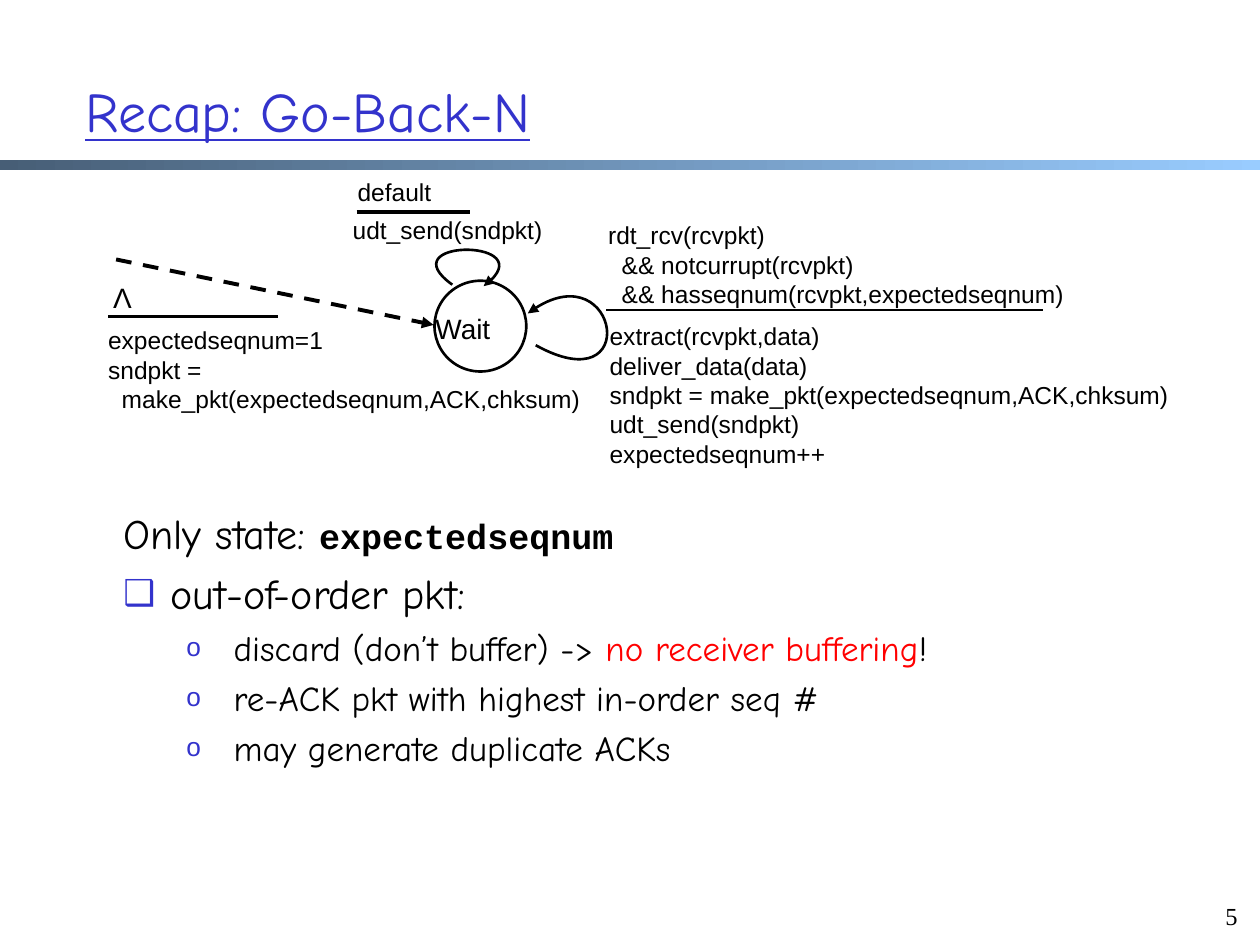
from lxml import etree
from pptx import Presentation
from pptx.dml.color import RGBColor
from pptx.enum.dml import MSO_LINE_DASH_STYLE as Dash
from pptx.enum.shapes import MSO_CONNECTOR_TYPE as Connector, MSO_SHAPE as Shape
from pptx.enum.text import MSO_ANCHOR as Anchor, PP_ALIGN as Align
from pptx.oxml.ns import qn
from pptx.util import Cm, Pt

COLORS = {"blue": "3333CC", "black": "000000", "red": "FF0000", "white": "FFFFFF",
          "band_start": "475E76", "band_end": "99CCFF"}
HAND, SANS, MONO, SERIF = "Comic Neue", "Arial", "Courier New", "Times New Roman"

TITLE = "Recap: Go-Back-N"
PAGE_NUMBER = "5"
BODY = [
    (None, [("Only state: ", "black", HAND, 24), ("expectedseqnum", "black", MONO, 20)]),
    ("❑", [("out-of-order pkt:", "black", HAND, 24)]),
    ("o", [("discard (don’t buffer) -> ", "black", HAND, 20),
           ("no receiver buffering", "red", HAND, 20), ("!", "black", HAND, 20)]),
    ("o", [("re-ACK pkt with highest in-order seq #", "black", HAND, 20)]),
    ("o", [("may generate duplicate ACKs", "black", HAND, 20)]),
]
BULLET_SIZES = {"❑": 85, "o": 75}
LABELS = [
    ((8.53, 6.15, 2.24, 0.66), 16, ["Wait"]),
    ((6.86, 4.22, 4.5, 0.86), 14, ["udt_send(sndpkt)"]),
    ((6.96, 3.45, 2.01, 0.69), 14, ["default"]),
    ((12.01, 4.32, 9.91, 1.57), 14, ["rdt_rcv(rcvpkt)", "  && notcurrupt(rcvpkt)",
                                     "  && hasseqnum(rcvpkt,expectedseqnum)"]),
    ((12.04, 6.35, 11.99, 3.15), 14, ["extract(rcvpkt,data)", "deliver_data(data)",
                                      "sndpkt = make_pkt(expectedseqnum,ACK,chksum)",
                                      "udt_send(sndpkt)", "expectedseqnum++"]),
    ((1.93, 6.43, 10.11, 2.72), 14, ["expectedseqnum=1", "sndpkt =",
                                     "  make_pkt(expectedseqnum,ACK,chksum)"]),
    ((2.03, 5.54, 0.89, 0.94), 16, ["Λ"]),
]
RULES = [(7.19, 4.27, 9.47, 2.25), (12.22, 6.25, 21.03, 1.5), (2.18, 6.38, 5.61, 2.25)]
START_ARROW = (2.34, 5.23, 8.74, 6.55)
LOOPS = [
    [(10.8, 6.96), (12.95, 8.15), (12.45, 4.95), (10.64, 6.32)],
    [(9.12, 5.74), (7.85, 4.83), (11.05, 4.8), (9.75, 5.77)],
]


def color(name):
    return RGBColor.from_string(COLORS[name])


def add_box(page, place, anchor=Anchor.TOP):
    frame = page.shapes.add_textbox(*map(Cm, place)).text_frame
    frame.word_wrap = True
    frame.vertical_anchor = anchor
    return frame


def paragraphs(frame, items):
    for index, item in enumerate(items):
        yield frame.add_paragraph() if index else frame.paragraphs[0], item


def add_span(para, text, tint, font, size):
    span = para.add_run()
    span.text = text
    span.font.name = font
    span.font.size = Pt(size)
    span.font.color.rgb = color(tint)
    return span


def style_line(line, width):
    line.color.rgb = color("black")
    line.width = Pt(width)


def add_arrowhead(line):
    etree.SubElement(line._get_or_add_ln(), qn("a:tailEnd"), type="triangle")


def add_line(page, x1, y1, x2, y2, width):
    rule = page.shapes.add_connector(Connector.STRAIGHT, *map(Cm, (x1, y1, x2, y2)))
    style_line(rule.line, width)
    etree.SubElement(rule._element.spPr, qn("a:effectLst"))
    return rule


def add_loop(page, points):
    start, *rest = [(Cm(x), Cm(y)) for x, y in points]
    builder = page.shapes.build_freeform(*start)
    builder.add_line_segments(rest, close=False)
    loop = builder.convert_to_shape()
    loop.shadow.inherit = False
    loop.fill.background()
    style_line(loop.line, 1.5)
    add_arrowhead(loop.line)
    outline = loop._element.find(".//" + qn("a:path"))
    curve = etree.SubElement(outline, qn("a:cubicBezTo"))
    for segment in outline.findall(qn("a:lnTo")):
        curve.append(segment[0])
        outline.remove(segment)


def set_bullet(para, bullet):
    level = 1 if bullet == "o" else 0
    para.level = level
    props = para._p.get_or_add_pPr()
    props.set("marL", str(Cm(2.22 if level else 0.95)))
    props.set("indent", str(Cm(-0.95)))
    if bullet is None:
        etree.SubElement(props, qn("a:buNone"))
        return
    tint = etree.SubElement(props, qn("a:buClr"))
    etree.SubElement(tint, qn("a:srgbClr"), val=COLORS["blue"])
    etree.SubElement(props, qn("a:buSzPct"), val=str(BULLET_SIZES[bullet] * 1000))
    etree.SubElement(props, qn("a:buFont"), typeface=SANS)
    etree.SubElement(props, qn("a:buChar"), char=bullet)


def add_band(page):
    band = page.shapes.add_shape(Shape.RECTANGLE, 0, Cm(3.23), Cm(25.4), Cm(0.2))
    band.shadow.inherit = False
    band.line.fill.background()
    band.fill.gradient()
    band.fill.gradient_angle = 0
    for stop, name in zip(band.fill.gradient_stops, ("band_start", "band_end")):
        stop.color.rgb = color(name)


def add_body(page):
    frame = add_box(page, (2.24, 10.11, 22.63, 7.92))
    for para, (bullet, spans) in paragraphs(frame, BODY):
        set_bullet(para, bullet)
        if bullet:
            para.space_before = Pt(spans[0][3] * 0.23)
        for span in spans:
            add_span(para, *span).font.bold = span[2] == MONO


def add_state_machine(page):
    state = page.shapes.add_shape(Shape.OVAL, *map(Cm, (8.76, 5.66, 1.85, 1.83)))
    state.shadow.inherit = False
    state.fill.solid()
    state.fill.fore_color.rgb = color("white")
    style_line(state.line, 1.5)
    start = add_line(page, *START_ARROW, 2.25)
    start.line.dash_style = Dash.DASH
    add_arrowhead(start.line)
    for left, top, right, width in RULES:
        add_line(page, left, top, right, top, width)
    for points in LOOPS:
        add_loop(page, points)
    for place, size, lines in LABELS:
        for para, text in paragraphs(add_box(page, place), lines):
            add_span(para, text, "black", SANS, size)


def main():
    deck = Presentation()
    deck.slide_width, deck.slide_height = Cm(25.4), Cm(19.05)
    page = deck.slides.add_slide(deck.slide_layouts[6])
    add_band(page)
    title = add_box(page, (1.47, 0.64, 21.59, 3.18), Anchor.MIDDLE)
    add_span(title.paragraphs[0], TITLE, "blue", HAND, 32).font.underline = True
    add_body(page)
    add_state_machine(page)
    number = add_box(page, (24.03, 17.91, 1.17, 0.97), Anchor.BOTTOM).paragraphs[0]
    number.alignment = Align.RIGHT
    add_span(number, PAGE_NUMBER, "black", SERIF, 14)
    deck.save("out.pptx")


if __name__ == "__main__":
    main()
